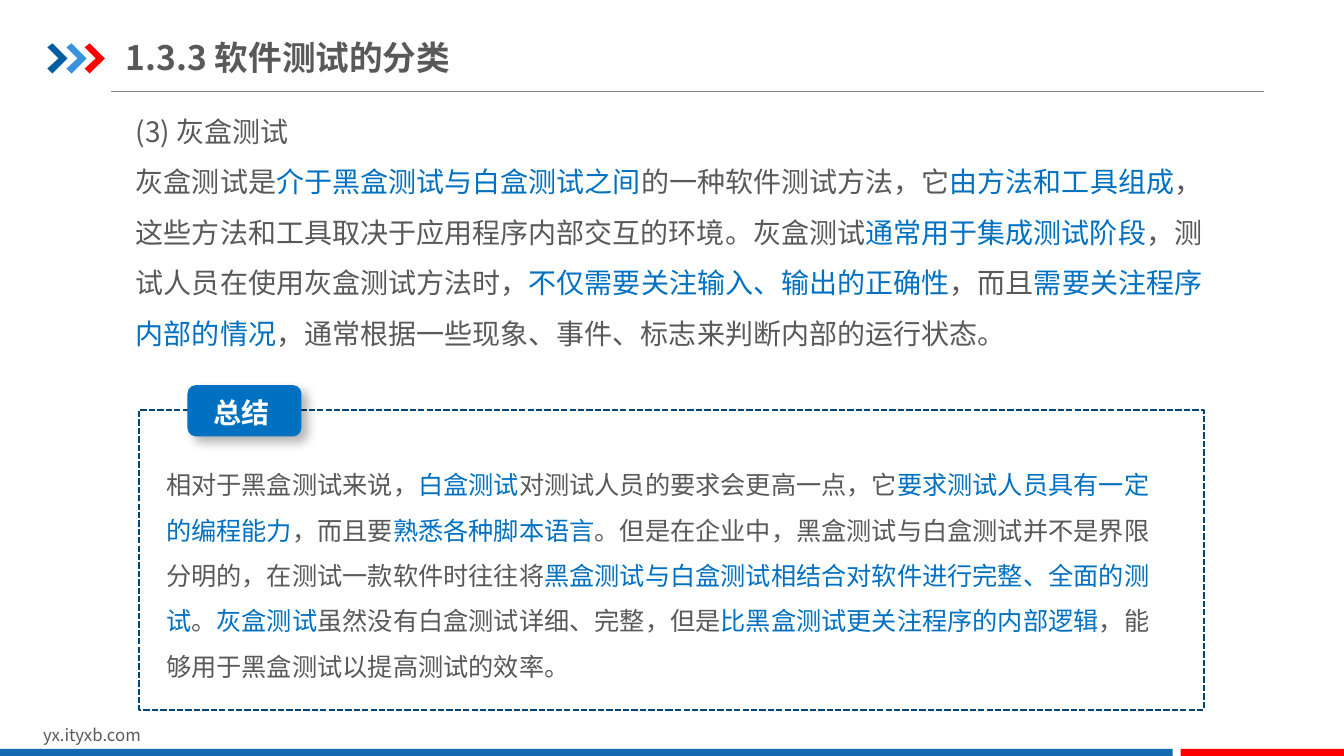
from lxml import etree
from pptx import Presentation
from pptx.dml.color import RGBColor
from pptx.enum.dml import MSO_LINE_DASH_STYLE as Dash
from pptx.enum.shapes import MSO_CONNECTOR, MSO_SHAPE as Preset
from pptx.enum.text import MSO_ANCHOR as Anchor
from pptx.oxml.ns import qn
from pptx.util import Pt

PX = 9144  # EMU per px, 100 px to the inch
FONT = "Noto Sans CJK SC"
COLORS = {
    "text": "595959", "accent": "0070C0", "white": "FFFFFF", "rule": "808080",
    "navy": "005DA2", "sky": "3992DB", "red": "FF0000", "footer": "1369B2",
    "frame": "004578", "shadow": "000000",
}

# Every second part between bars is highlighted.
GREY_BOX = [
    "(3) 灰盒测试",
    "灰盒测试是|介于黑盒测试与白盒测试之间|的一种软件测试方法，它|由方法和工具组成|"
    "，这些方法和工具取决于应用程序内部交互的环境。灰盒测试|通常用于集成测试阶段|"
    "，测试人员在使用灰盒测试方法时，|不仅需要关注输入、输出的正确性|，而且|"
    "需要关注程序内部的情况|，通常根据一些现象、事件、标志来判断内部的运行状态。",
]
SUMMARY = [
    "相对于黑盒测试来说，|白盒测试|对测试人员的要求会更高一点，它|"
    "要求测试人员具有一定的编程能力|，而且要|熟悉各种脚本语言|"
    "。但是在企业中，黑盒测试与白盒测试并不是界限分明的，在测试一款软件时往往将|"
    "黑盒测试与白盒测试相结合对软件进行完整、全面的测试|。|灰盒测试|"
    "虽然没有白盒测试详细、完整，但是|比黑盒测试更关注程序的内部逻辑|"
    "，能够用于黑盒测试以提高测试的效率。",
]
CHEVRON = [(47, 47), (52, 43), (67, 58), (52, 73), (47, 68), (58, 58)]
CHEVRONS = [(0, "navy"), (19, "sky"), (37, "red")]
FOOTER_BARS = [((0, 743, 1163, 9), "footer"), ((1171, 743, 163, 9), "red")]

BODY = {"line_spacing": 1.5}
TITLE_FRAME = {"vertical_anchor": Anchor.MIDDLE, "margin_left": 0, "margin_right": 0,
               "margin_top": 7 * PX, "margin_bottom": 7 * PX}
TEXTS = [  # box, paragraphs, size, bold, color, paragraph format, frame format
    ((33, 714, 318, 30), ["yx.ityxb.com"], 12, False, "text", {}, {}),
    ((125, 29, 426, 55), ["1.3.3 软件测试的分类"], 24, True, "text", {}, TITLE_FRAME),
    ((125, 92, 1100, 269), GREY_BOX, 20, False, "text", BODY, {}),
    ((202, 371, 92, 60), ["总结"], 20, True, "white", BODY, {}),
    ((155, 446, 1006, 237), SUMMARY, 18, False, "text", BODY, {}),
]


def rgb(name):
    return RGBColor.from_string(COLORS[name])


def emu(*lengths):
    return [length * PX for length in lengths]


def set_all(target, values):
    for name, value in values.items():
        setattr(target, name, value)


def paint(shape, color):
    """Give a shape a plain fill without outline or shadow."""
    shape.shadow.inherit = False
    shape.fill.solid()
    shape.fill.fore_color.rgb = rgb(color)
    shape.line.fill.background()
    return shape


def add_bar(shapes, preset, box, color):
    return paint(shapes.add_shape(preset, *emu(*box)), color)


def add_text(shapes, box, lines, size, bold, color, paragraph_format, frame_format):
    frame = shapes.add_textbox(*emu(*box)).text_frame
    set_all(frame, {"word_wrap": True, **frame_format})
    for number, line in enumerate(lines):
        paragraph = frame.add_paragraph() if number else frame.paragraphs[0]
        set_all(paragraph, paragraph_format)
        for part, text in enumerate(line.split("|")):
            run = paragraph.add_run()
            run.text = text
            set_all(run.font, {"name": FONT, "size": Pt(size), "bold": bold})
            run.font.color.rgb = rgb("accent" if part % 2 else color)
            etree.SubElement(run.font._element, qn("a:ea"), typeface=FONT)


def add_shadow(shape):
    effects = shape._element.spPr.find(qn("a:effectLst"))
    shadow = etree.SubElement(effects, qn("a:outerShdw"), blurRad=str(Pt(8)),
                              dist=str(Pt(6)), dir=str(45 * 60000), algn="tl",
                              rotWithShape="0")
    color = etree.SubElement(shadow, qn("a:srgbClr"), val=COLORS["shadow"])
    etree.SubElement(color, qn("a:alpha"), val="30000")


def main():
    presentation = Presentation()
    set_all(presentation, {"slide_width": 1333 * PX, "slide_height": 750 * PX})
    shapes = presentation.slides.add_slide(presentation.slide_layouts[6]).shapes

    rule = shapes.add_connector(MSO_CONNECTOR.STRAIGHT, *emu(110, 91, 1254, 91))
    rule.line.color.rgb = rgb("rule")
    rule.line.width = Pt(0.75)
    etree.SubElement(rule._element.spPr, qn("a:effectLst"))

    for offset, color in CHEVRONS:
        start, *points = [(x + offset, y) for x, y in CHEVRON]
        builder = shapes.build_freeform(*start, scale=PX)
        builder.add_line_segments(points, close=True)
        paint(builder.convert_to_shape(), color)

    for box, color in FOOTER_BARS:
        add_bar(shapes, Preset.RECTANGLE, box, color)

    frame = shapes.add_shape(Preset.RECTANGLE, *emu(138, 407, 1056, 297))
    frame.shadow.inherit = False
    frame.fill.background()
    frame.line.color.rgb = rgb("frame")
    set_all(frame.line, {"width": Pt(1.5), "dash_style": Dash.SQUARE_DOT})

    add_shadow(add_bar(shapes, Preset.ROUNDED_RECTANGLE, (186, 382, 113, 51), "accent"))

    for text in TEXTS:
        add_text(shapes, *text)

    presentation.save("out.pptx")


if __name__ == "__main__":
    main()
